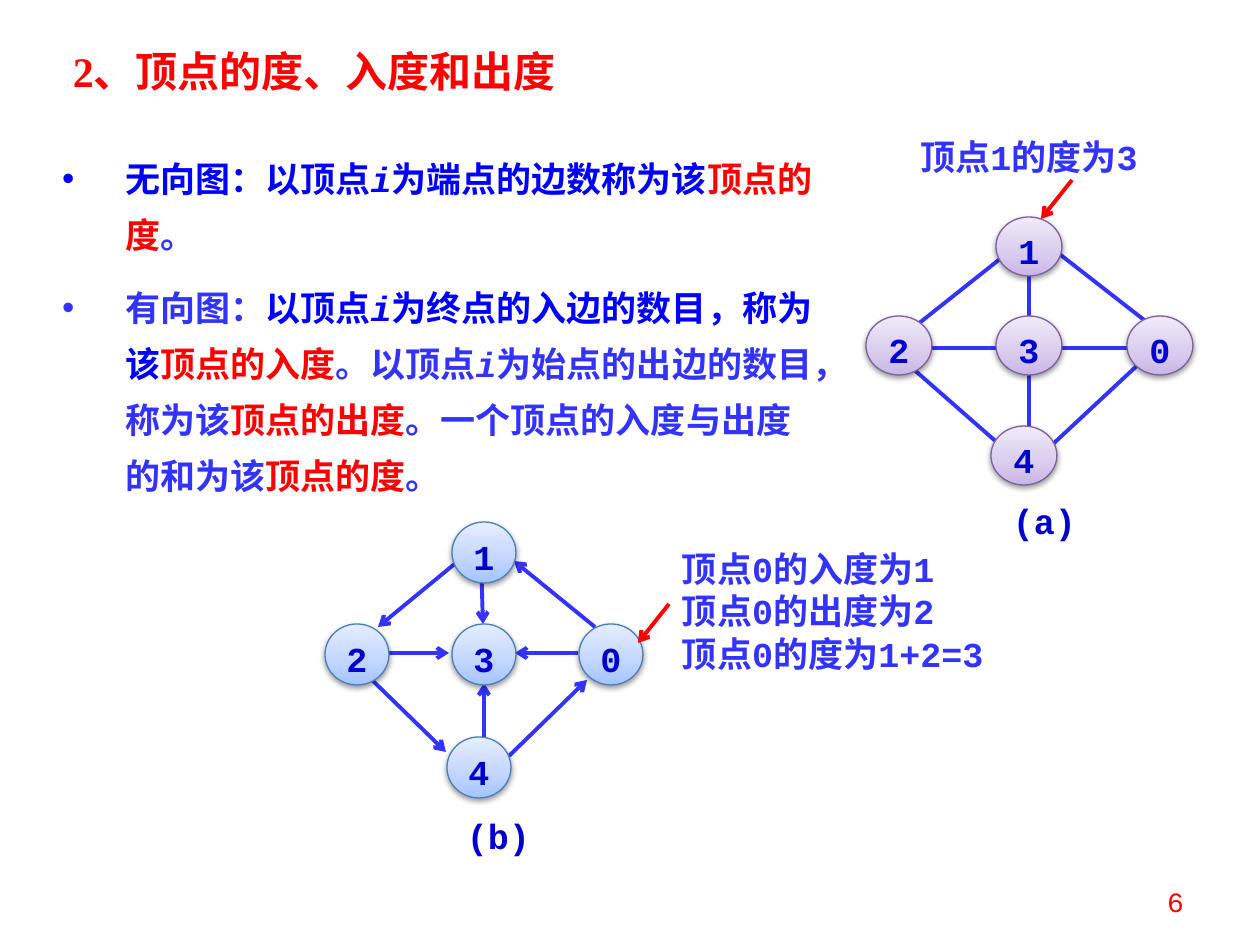
import copy

import pptx
import pptx.dml.color
import pptx.enum.shapes
import pptx.enum.text
import pptx.oxml
import pptx.oxml.ns
import pptx.util

EMU_PER_PX = 914400 / 126
MONO = "Courier New"
COLORS = {
    "red": "FF0000",
    "blue": "0000FF",
    "soft_blue": "3333FF",
    "navy": "0000CC",
}
NODE_STYLES = {
    "purple": {"line": "7D60A0", "stops": ["C9B5E8", "D8CBEE", "F0EAF9"]},
    "blue": {"line": "4B7EBC", "stops": ["A4C4FF", "BFD4FF", "E6EEFF"]},
}
ALIGN = pptx.enum.text.PP_ALIGN
ANCHOR = pptx.enum.text.MSO_ANCHOR

TITLE = "2、顶点的度、入度和出度"
DEFINITIONS = [
    [("无向图：以顶点", "blue"), ("i", "blue", True), ("为端点的边数称为该", "blue"),
     ("顶点的度", "red"), ("。", "soft_blue")],
    [("有向图：", "soft_blue"), ("以顶点", "blue"), ("i", "blue", True),
     ("为终点的入边的数目，称为该", "blue"), ("顶点的入度", "red"),
     ("。以顶点", "soft_blue"), ("i", "soft_blue", True),
     ("为始点的出边的数目，称为该", "soft_blue"), ("顶点的出度", "red"),
     ("。一个顶点的入度与出度的和为该", "soft_blue"), ("顶点的度", "red"),
     ("。", "soft_blue")],
]
UNDIRECTED = {
    "style": "purple",
    "size": (66, 59),
    "nodes": {"1": (996, 217), "3": (996, 316), "0": (1127, 316),
              "2": (866, 316), "4": (991, 426)},
    "edges": [(926, 348, 1131, 348), (911, 367, 1000, 445), (1053, 444, 1140, 363),
              (1053, 249, 1148, 323), (1005, 255, 903, 336), (1029, 275, 1029, 452)],
    "arrow": False,
}
DIRECTED = {
    "style": "blue",
    "size": (64, 61),
    "nodes": {"1": (452, 522), "3": (452, 624), "0": (579, 624),
              "2": (325, 624), "4": (447, 737)},
    "edges": [(481, 556, 483, 624), (484, 743, 484, 683), (578, 653, 515, 653),
              (386, 653, 449, 653), (372, 680, 446, 752), (509, 756, 587, 680),
              (595, 627, 514, 561), (457, 562, 378, 627)],
    "arrow": True,
}


def px(n):
    return pptx.util.Emu(round(n * EMU_PER_PX))


def rgb(value):
    return pptx.dml.color.RGBColor.from_string(value)


def place(sp, left, top, width, height):
    sp.left, sp.top, sp.width, sp.height = map(px, (left, top, width, height))


def add_run(p, text, color, size=20, font=MONO, bold=True, italic=False):
    r = p.add_run()
    r.text = text
    r.font.name = font
    r.font.size = pptx.util.Pt(size)
    r.font.bold = bold
    r.font.italic = italic
    r.font.color.rgb = rgb(COLORS[color])


def set_frame(tf, insets=(13, 6, 13, 6), anchor=ANCHOR.TOP):
    """Apply wrapping, anchor and insets (left, top, right, bottom)."""
    tf.auto_size = pptx.enum.text.MSO_AUTO_SIZE.NONE
    tf.word_wrap = True
    tf.vertical_anchor = anchor
    tf.margin_left, tf.margin_top, tf.margin_right, tf.margin_bottom = map(px, insets)


def paragraphs(tf, count):
    return [tf.paragraphs[0]] + [tf.add_paragraph() for _ in range(count - 1)]


def add_text(s, box, lines, color, align=ALIGN.LEFT, size=20, bold=True, **frame):
    tf = s.shapes.add_textbox(*map(px, box)).text_frame
    set_frame(tf, **frame)
    for p, line in zip(paragraphs(tf, len(lines)), lines):
        p.alignment = align
        add_run(p, line, color, size=size, bold=bold)


def add_line(s, ends, color, arrow):
    line = s.shapes.add_connector(
        pptx.enum.shapes.MSO_CONNECTOR.STRAIGHT, *map(px, ends))
    line.line.color.rgb = rgb(COLORS[color])
    line.line.width = pptx.util.Pt(2.25)
    if arrow:
        pptx.oxml.ns.qn("a:tailEnd")
        tail = line.line._get_or_add_ln().makeelement(
            pptx.oxml.ns.qn("a:tailEnd"), {"type": "arrow"})
        line.line._get_or_add_ln().append(tail)
    sp_pr = line._element.spPr
    sp_pr.append(sp_pr.makeelement(pptx.oxml.ns.qn("a:effectLst"), {}))


def add_soft_shadow(sp):
    sp.shadow.inherit = False
    effects = sp._element.spPr.find(pptx.oxml.ns.qn("a:effectLst"))
    effects.append(pptx.oxml.parse_xml(
        f'<a:outerShdw {pptx.oxml.ns.nsdecls("a")} blurRad="40000" dist="20000" '
        'dir="5400000" rotWithShape="0"><a:srgbClr val="000000">'
        '<a:alpha val="38000"/></a:srgbClr></a:outerShdw>'))


def fill_gradient(sp, colors):
    """Fill with three stops running from the bottom to the top."""
    sp.fill.gradient()
    sp.fill.gradient_angle = 90
    stop_list = next(sp._element.spPr.iter(pptx.oxml.ns.qn("a:gsLst")))
    stop_list.append(copy.deepcopy(stop_list[0]))
    for stop, position, color in zip(sp.fill.gradient_stops, (0, 0.35, 1), colors):
        stop.position = position
        stop.color.rgb = rgb(color)


def add_node(s, label, box, style):
    sp = s.shapes.add_shape(pptx.enum.shapes.MSO_SHAPE.OVAL, *map(px, box))
    fill_gradient(sp, style["stops"])
    sp.line.color.rgb = rgb(style["line"])
    sp.line.width = pptx.util.Pt(0.75)
    add_soft_shadow(sp)
    set_frame(sp.text_frame, insets=(0, 15, 0, 0))
    p = sp.text_frame.paragraphs[0]
    p.alignment = ALIGN.CENTER
    p.line_spacing = 0.72
    add_run(p, label, "navy")


def add_graph(s, graph):
    for ends in graph["edges"]:
        add_line(s, ends, "soft_blue", graph["arrow"])
    for label, corner in graph["nodes"].items():
        add_node(s, label, corner + graph["size"], NODE_STYLES[graph["style"]])


def fill_title(sp):
    place(sp, 39, 39, 558, 63)
    set_frame(sp.text_frame, insets=(34, 6, 13, 6))
    p = sp.text_frame.paragraphs[0]
    p.alignment = ALIGN.JUSTIFY
    add_run(p, TITLE, "red", size=24, font="Times New Roman")


def fill_definitions(sp):
    place(sp, 49, 137, 777, 375)
    set_frame(sp.text_frame)
    for p, runs in zip(paragraphs(sp.text_frame, len(DEFINITIONS)), DEFINITIONS):
        p.line_spacing = pptx.util.Pt(32)
        p.space_before = pptx.util.Pt(10)
        p_pr = p._p.get_or_add_pPr()
        p_pr.set("marL", str(px(63)))
        p_pr.set("indent", str(px(-63)))
        for text, color, *italic in runs:
            add_run(p, text, color, italic=bool(italic))


def main():
    prs = pptx.Presentation()
    prs.slide_width, prs.slide_height = px(1260), px(945)
    s = prs.slides.add_slide(prs.slide_layouts[1])
    fill_title(s.shapes.title)
    fill_definitions(s.placeholders[1])

    add_graph(s, UNDIRECTED)
    add_text(s, (1013, 499, 66, 59), ["(a)"], "navy", insets=(0, 0, 0, 0))
    add_graph(s, DIRECTED)
    add_text(s, (467, 800, 66, 61), ["(b)"], "navy", insets=(0, 15, 0, 0))

    add_text(s, (906, 129, 246, 55), ["顶点1的度为3"], "soft_blue", ALIGN.CENTER)
    add_line(s, (1072, 180, 1041, 219), "red", True)
    add_text(s, (669, 542, 344, 140),
             ["顶点0的入度为1", "顶点0的出度为2", "顶点0的度为1+2=3"], "soft_blue")
    add_line(s, (669, 604, 638, 643), "red", True)
    add_text(s, (903, 876, 294, 50), ["6"], "red", ALIGN.RIGHT, size=16,
             bold=False, anchor=ANCHOR.MIDDLE)
    prs.save("out.pptx")


if __name__ == "__main__":
    main()
